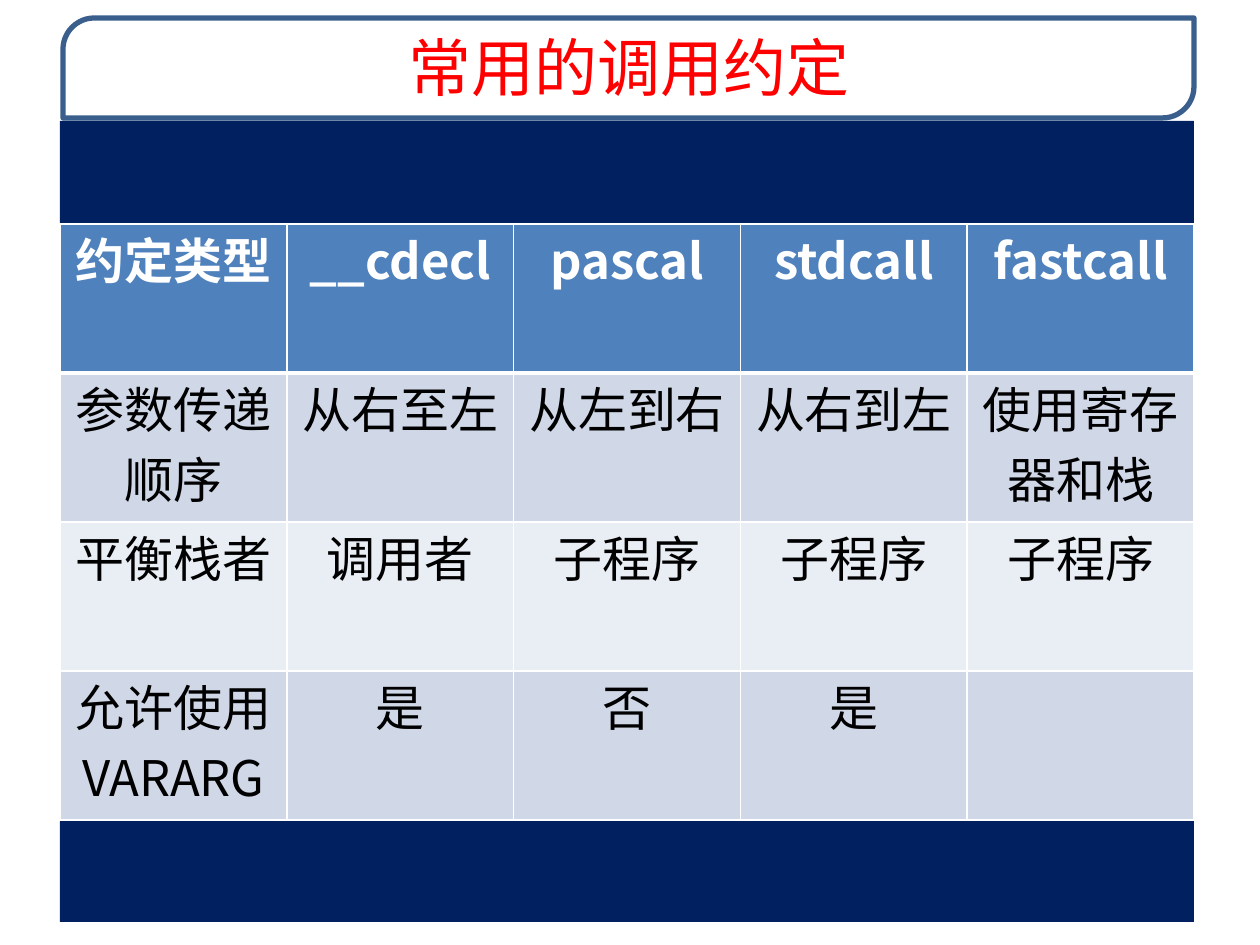
from lxml.etree import SubElement
from pptx import Presentation
from pptx.dml.color import RGBColor
from pptx.enum.shapes import MSO_SHAPE as Shape
from pptx.enum.text import MSO_ANCHOR as Anchor, PP_ALIGN as Align
from pptx.oxml.ns import qn
from pptx.util import Pt

EMU_PER_PX = 914400 / 126
FONT = "Noto Sans CJK SC"
WHITE = RGBColor(0xFF, 0xFF, 0xFF)
BLACK = RGBColor(0x00, 0x00, 0x00)
RED = RGBColor(0xFF, 0x00, 0x00)
NAVY = RGBColor(0x00, 0x20, 0x60)
FRAME_BLUE = RGBColor(0x3A, 0x5F, 0x8C)
HEADER_BLUE = RGBColor(0x4F, 0x81, 0xBD)
BAND_DARK = RGBColor(0xD0, 0xD8, 0xE8)
BAND_LIGHT = RGBColor(0xE9, 0xED, 0xF4)

ROWS = [
    ["约定类型", "__cdecl", "pascal", "stdcall", "fastcall"],
    ["参数传递\n顺序", "从右至左", "从左到右", "从右到左", "使用寄存\n器和栈"],
    ["平衡栈者", "调用者", "子程序", "子程序", "子程序"],
    ["允许使用\nVARARG", "是", "否", "是", ""],
]


def px(length):
    return round(length * EMU_PER_PX)


def add_span(para, text, size, color, bold=False):
    para.alignment = Align.CENTER
    span = para.add_run()
    span.text = text
    span.font.name = FONT
    span.font.size = Pt(size)
    span.font.bold = bold
    span.font.color.rgb = color
    SubElement(span.font._element, qn("a:ea"), typeface=FONT)


def add_title(page, left, top, width, height):
    # Translucent frame with two rounded corners
    frame = page.shapes.add_shape(Shape.ROUND_2_DIAG_RECTANGLE,
                                  px(left), px(top), px(width), px(height))
    frame.shadow.inherit = False
    frame.adjustments[0] = 0.313
    frame.adjustments[1] = 0
    frame.fill.solid()
    frame.fill.fore_color.rgb = WHITE
    color = frame._element.spPr.find(qn("a:solidFill")).find(qn("a:srgbClr"))
    SubElement(color, qn("a:alpha"), val="85000")
    frame.line.color.rgb = FRAME_BLUE
    frame.line.width = Pt(3)
    return frame


def add_title_text(page, left, top, width, height):
    box = page.shapes.add_textbox(px(left), px(top), px(width), px(height))
    box.text_frame.word_wrap = True
    box.text_frame.vertical_anchor = Anchor.MIDDLE
    add_span(box.text_frame.paragraphs[0], "常用的调用约定", 36, RED)


def add_panel(page, left, top, width, height):
    panel = page.shapes.add_shape(Shape.RECTANGLE,
                                  px(left), px(top), px(width), px(height))
    panel.shadow.inherit = False
    panel.fill.solid()
    panel.fill.fore_color.rgb = NAVY
    panel.line.fill.background()


def set_borders(cell, top, bottom):
    properties = cell._tc.get_or_add_tcPr()
    for side, width in (("L", 1), ("R", 1), ("T", top), ("B", bottom)):
        line = SubElement(properties, qn(f"a:ln{side}"), w=str(Pt(width)))
        fill = SubElement(line, qn("a:solidFill"))
        SubElement(fill, qn("a:srgbClr"), val=str(WHITE))


def fill_cell(cell, text, row):
    header = row == 0
    set_borders(cell, top=3 if row == 1 else 1, bottom=3 if header else 1)
    cell.fill.solid()
    cell.fill.fore_color.rgb = (
        HEADER_BLUE if header else BAND_DARK if row % 2 else BAND_LIGHT)
    cell.margin_left = cell.margin_right = px(9)
    cell.margin_top, cell.margin_bottom = px(35), 0
    if not text:
        return
    for index, line in enumerate(text.split("\n")):
        frame = cell.text_frame
        para = frame.add_paragraph() if index else frame.paragraphs[0]
        para.line_spacing = Pt(20)
        if index:
            para.space_before = Pt(20)
        add_span(para, line, 28, WHITE if header else BLACK, header)


def add_conventions(page, left, top, width, height):
    table = page.shapes.add_table(len(ROWS), len(ROWS[0]), px(left), px(top),
                                  px(width), px(height)).table
    for column in table.columns:
        column.width = px(width) // len(ROWS[0])
    for row, texts in enumerate(ROWS):
        table.rows[row].height = px(height) // len(ROWS)
        for column, text in enumerate(texts):
            fill_cell(table.cell(row, column), text, row)


def main():
    deck = Presentation()
    deck.slide_width, deck.slide_height = px(1260), px(945)
    page = deck.slides.add_slide(deck.slide_layouts[6])
    add_title(page, 63, 18, 1131, 100)
    add_panel(page, 60, 121, 1134, 801)
    add_title_text(page, 64, 18, 1130, 96)
    add_conventions(page, 60, 224, 1134, 596)
    deck.save("out.pptx")


if __name__ == "__main__":
    main()
